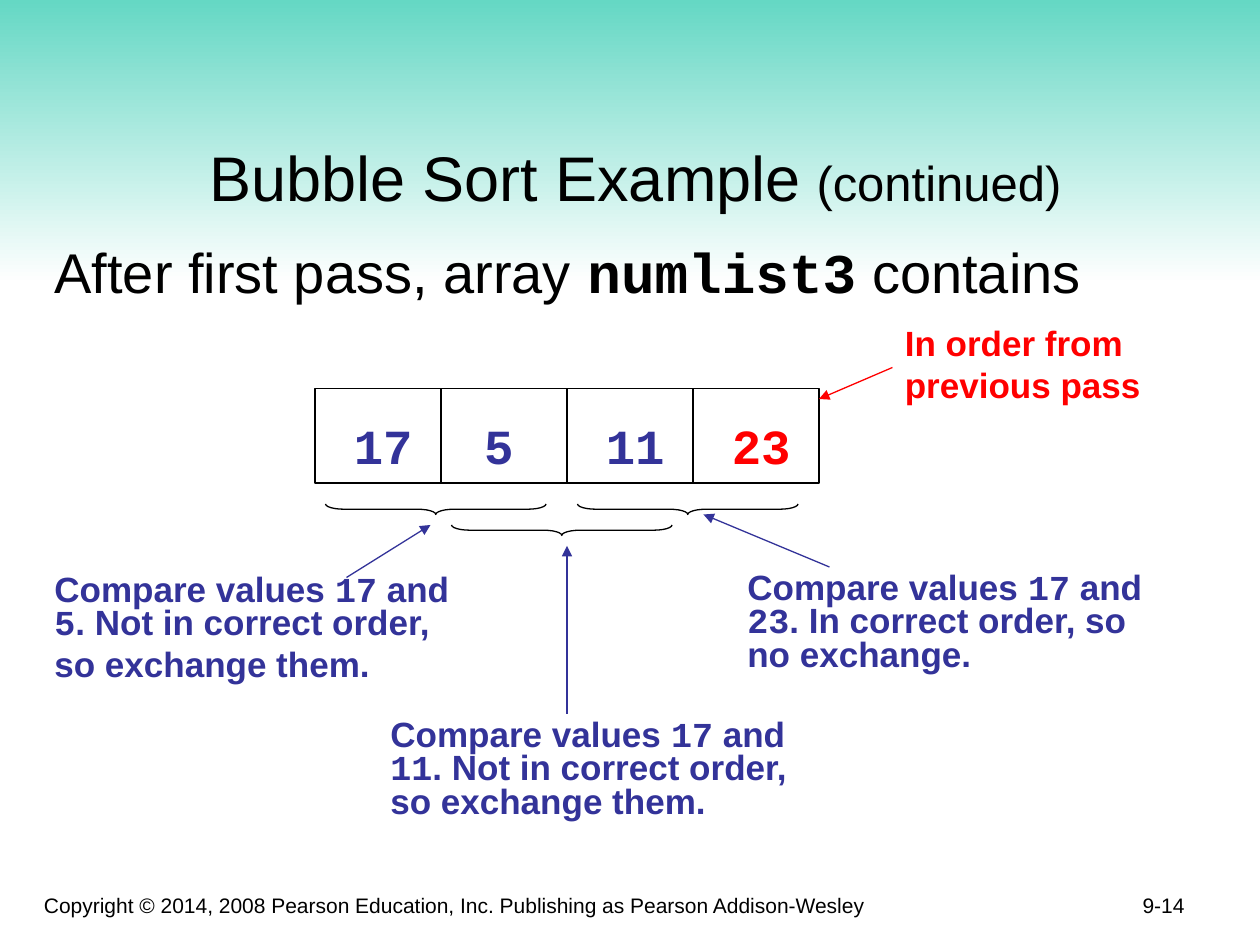
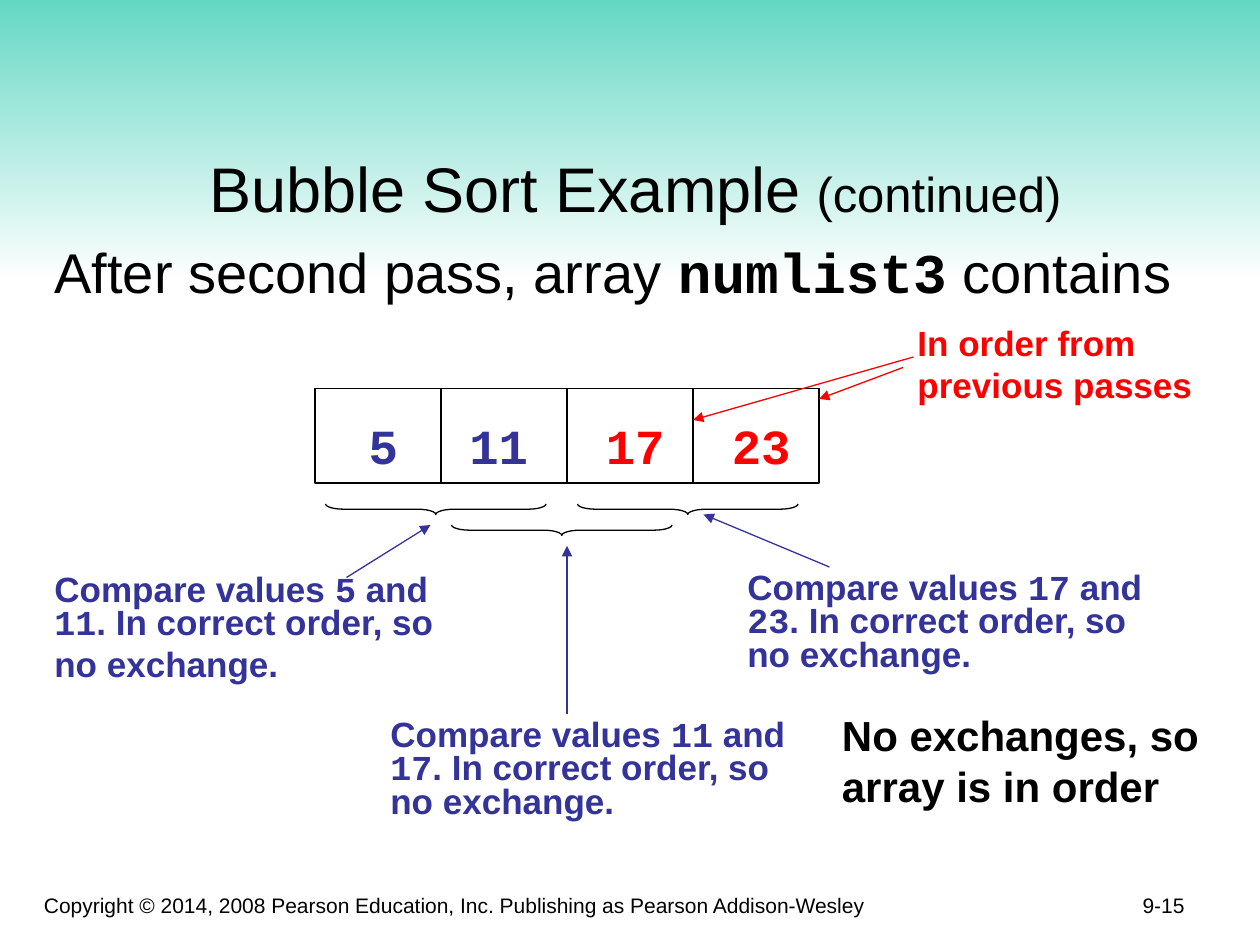
from lxml.etree import SubElement
from pptx import Presentation
from pptx.dml.color import RGBColor
from pptx.enum.shapes import MSO_CONNECTOR, MSO_SHAPE
from pptx.enum.text import MSO_ANCHOR, MSO_AUTO_SIZE, PP_ALIGN
from pptx.oxml.ns import qn
from pptx.util import Inches, Pt

COLORS = {"band": "5FD6C2", "white": "FFFFFF", "black": "000000",
          "compare": "333399", "sorted": "FF0000"}
TEXT_FONT, CODE_FONT = "Arial", "Courier New"
GRID = Inches(1) / 12  # the slide is 120 columns by 90 rows
CELL_LEFT, CELL_TOP, CELL_WIDTH, CELL_HEIGHT = 30, 37, 12, 9
LABEL_SHIFTS = (2, 1, 2, 2)
COPYRIGHT = ("Copyright © 2014, 2008 Pearson Education, Inc. "
             "Publishing as Pearson Addison-Wesley")

# Left, top and line spacings of the three comparison notes
COMPARISON_PLACES = [(4, 54.2, (0.8, 0.8, 1)),
                     (36, 68, (0.8, 0.8, 0.8)),
                     (70, 54, (0.8, 0.8, 0.8))]
COMPARISON_ARROWS = [(33, 55, 41, 50), (54, 68, 54, 52), (79, 54, 67, 49)]

PASSES = [
    {"number": "9-14", "title_rows": 12,
     "heading": "After first pass, array `numlist3` contains",
     "values": ["17", "5", "11", "23"], "sorted_count": 1,
     "comparisons": [
         ["Compare values `17` and", "`5`. Not in correct order,", "so exchange them."],
         ["Compare values `17` and", "`11`. Not in correct order,", "so exchange them."],
         ["Compare values `17` and", "`23`. In correct order, so", "no exchange."]],
     "sorted_note": ("In order from previous pass", 85, 25),
     "sorted_arrows": [(85, 35, 78, 38)],
     "conclusion": []},
    {"number": "9-15", "title_rows": 13,
     "heading": "After second pass, array `numlist3` contains",
     "values": ["5", "11", "17", "23"], "sorted_count": 2,
     "comparisons": [
         ["Compare values `5` and", "`11`. In correct order, so", "no exchange."],
         ["Compare values `11` and", "`17`. In correct order, so", "no exchange."],
         ["Compare values `17` and", "`23`. In correct order, so", "no exchange."]],
     "sorted_note": ("In order from previous passes", 86.2, 29),
     "sorted_arrows": [(86, 35, 78, 38), (87, 34, 66, 40)],
     "conclusion": ["No exchanges, so", "array is in order"]},
]


def color(name):
    return RGBColor.from_string(COLORS[name])


def grid(*lengths):
    return [round(length * GRID) for length in lengths]


def write(para, text, size, ink="black", bold=False):
    """Add text run by run; parts between backticks are bold code."""
    for index, part in enumerate(text.split("`")):
        if part:
            is_code = index % 2 == 1
            span = para.add_run()
            span.text = part
            span.font.name = CODE_FONT if is_code else TEXT_FONT
            span.font.size = Pt(size)
            span.font.bold = bold or is_code
            span.font.color.rgb = color(ink)


def add_text(page, place, lines, size, ink="black", bold=False,
             align=PP_ALIGN.LEFT, anchor=MSO_ANCHOR.TOP, spacings=None):
    box = page.shapes.add_textbox(*grid(*place))
    frame = box.text_frame
    frame.word_wrap = True
    frame.vertical_anchor = anchor
    for index, line in enumerate(lines):
        para = frame.paragraphs[0] if index == 0 else frame.add_paragraph()
        para.alignment = align
        if spacings:
            para.line_spacing = spacings[index]
        write(para, line, size, ink, bold)
    return box


def add_outline(page, preset, place):
    shape = page.shapes.add_shape(preset, *grid(*place))
    shape.shadow.inherit = False
    shape.fill.background()
    shape.line.color.rgb = color("black")
    shape.line.width = Pt(0.75)
    return shape


def add_arrow(page, ends, ink):
    arrow = page.shapes.add_connector(MSO_CONNECTOR.STRAIGHT, *grid(*ends))
    arrow.line.color.rgb = color(ink)
    arrow.line.width = Pt(0.75)
    SubElement(arrow.line._get_or_add_ln(), qn("a:tailEnd"), type="triangle")
    SubElement(arrow.element.spPr, qn("a:effectLst"))


def place_placeholder(holder, place, anchor):
    holder.left, holder.top, holder.width, holder.height = grid(*place)
    frame = holder.text_frame
    frame.auto_size = MSO_AUTO_SIZE.NONE
    frame.vertical_anchor = anchor
    return frame


def add_title(page, rows):
    frame = place_placeholder(page.shapes.title, (7, 9, 107, rows), MSO_ANCHOR.BOTTOM)
    para = frame.paragraphs[0]
    para.alignment = PP_ALIGN.CENTER
    for text, size in (("Bubble Sort Example", 36), (" ", 32), ("(continued)", 28)):
        write(para, text, size)


def add_heading(page, text):
    frame = place_placeholder(page.placeholders[1], (4, 22, 116, 58), MSO_ANCHOR.TOP)
    frame.margin_right = 0
    para = frame.paragraphs[0]
    properties = para._p.get_or_add_pPr()
    properties.set("marL", "0")
    properties.set("indent", "0")
    SubElement(properties, qn("a:buNone"))
    para.space_before = Pt(0)
    write(para, text, 32)


def move_background_to_layout(page):
    """Draw the band and copyright line, then hand them to the shared layout."""
    band = page.shapes.add_shape(MSO_SHAPE.RECTANGLE, *grid(0, -1, 120, 28))
    band.shadow.inherit = False
    band.line.fill.background()
    band.fill.gradient()
    band.fill.gradient_angle = 270
    for stop, name in zip(band.fill.gradient_stops, ("band", "white")):
        stop.color.rgb = color(name)
    footer = add_text(page, (3, 83, 81, 5), [COPYRIGHT], 12, anchor=MSO_ANCHOR.BOTTOM)
    for shape in (band, footer):
        page.slide_layout.shapes.element.append(shape.element)


def add_array(page, values, sorted_count):
    first_sorted = len(values) - sorted_count
    for index, value in enumerate(values):
        left = CELL_LEFT + index * CELL_WIDTH
        add_outline(page, MSO_SHAPE.RECTANGLE, (left, CELL_TOP, CELL_WIDTH, CELL_HEIGHT))
        ink = "sorted" if index >= first_sorted else "compare"
        add_text(page, (left + LABEL_SHIFTS[index], 39, 9, 6.8), [value.join("``")],
                 28, ink, align=PP_ALIGN.CENTER)


def add_braces(page, count):
    """Bracket each neighbouring pair, every second brace two rows lower."""
    for index in range(count):
        place = (41 + index * CELL_WIDTH, 38 + index % 2 * 2, 1, 21)
        brace = add_outline(page, MSO_SHAPE.RIGHT_BRACE, place)
        brace.adjustments[0] = 1.75
        brace.rotation = 90


def add_comparisons(page, comparisons):
    for lines, (left, top, spacings), ends in zip(
            comparisons, COMPARISON_PLACES, COMPARISON_ARROWS):
        add_text(page, (left, top, 41, 11), lines, 20, "compare", True,
                 spacings=spacings)
        add_arrow(page, ends, "compare")


def add_pass(page, sort_pass):
    add_title(page, sort_pass["title_rows"])
    add_heading(page, sort_pass["heading"])
    add_text(page, (89, 82, 25, 6), [sort_pass["number"]], 12,
             align=PP_ALIGN.RIGHT, anchor=MSO_ANCHOR.BOTTOM)
    add_array(page, sort_pass["values"], sort_pass["sorted_count"])
    add_braces(page, len(sort_pass["comparisons"]))
    add_comparisons(page, sort_pass["comparisons"])
    note, left, width = sort_pass["sorted_note"]
    add_text(page, (left, 30, width, 9.2), [note], 20, "sorted", True)
    for ends in sort_pass["sorted_arrows"]:
        add_arrow(page, ends, "sorted")
    if sort_pass["conclusion"]:
        add_text(page, (79, 67, 38, 11), sort_pass["conclusion"], 24, bold=True)


def main():
    deck = Presentation()
    deck.slide_width, deck.slide_height = grid(120, 90)
    layout = deck.slide_layouts[1]
    for index, sort_pass in enumerate(PASSES):
        page = deck.slides.add_slide(layout)
        if index == 0:
            move_background_to_layout(page)
        add_pass(page, sort_pass)
    deck.save("out.pptx")


if __name__ == "__main__":
    main()
